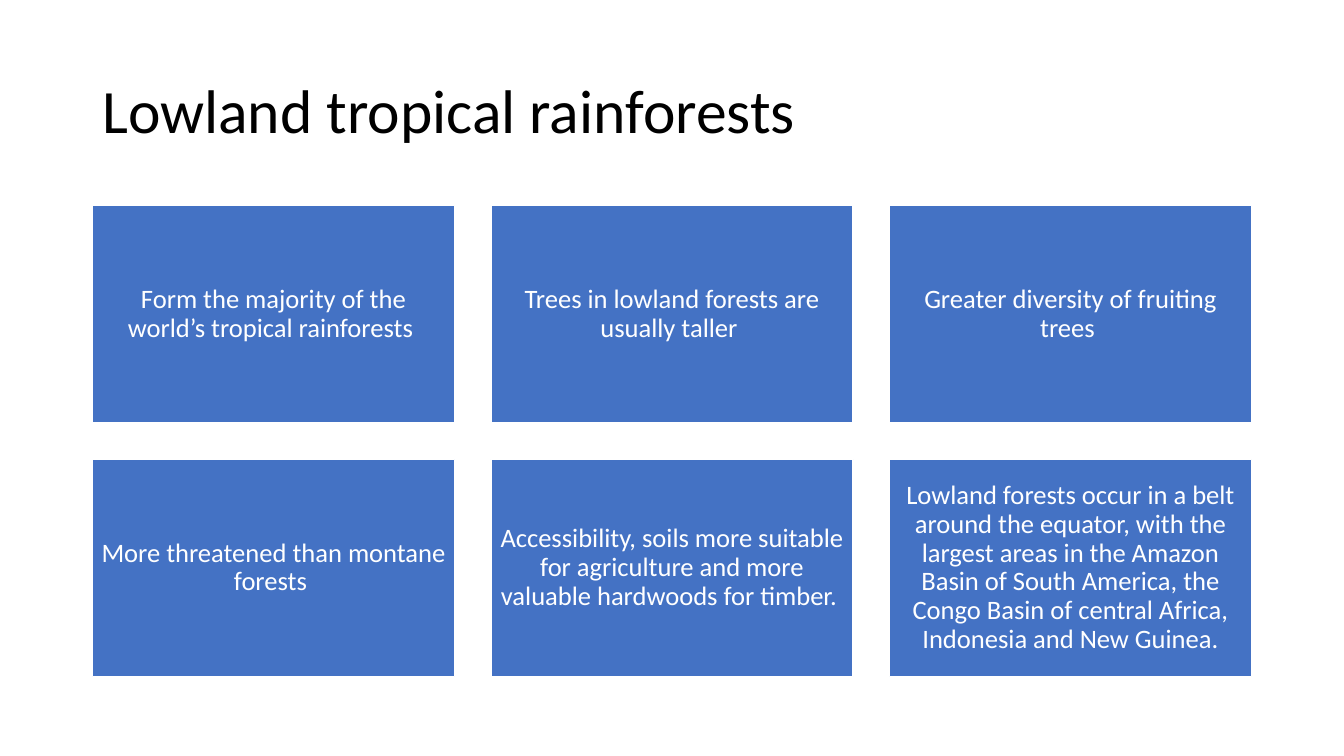
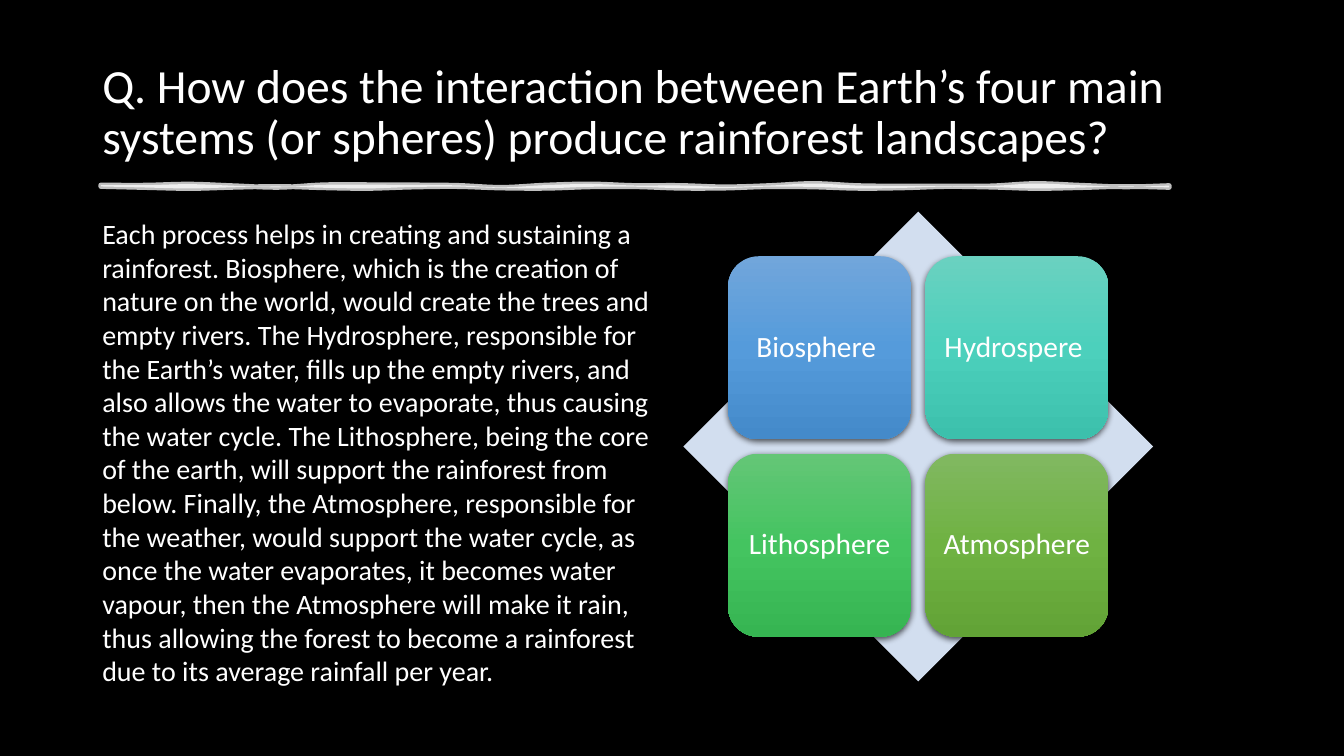
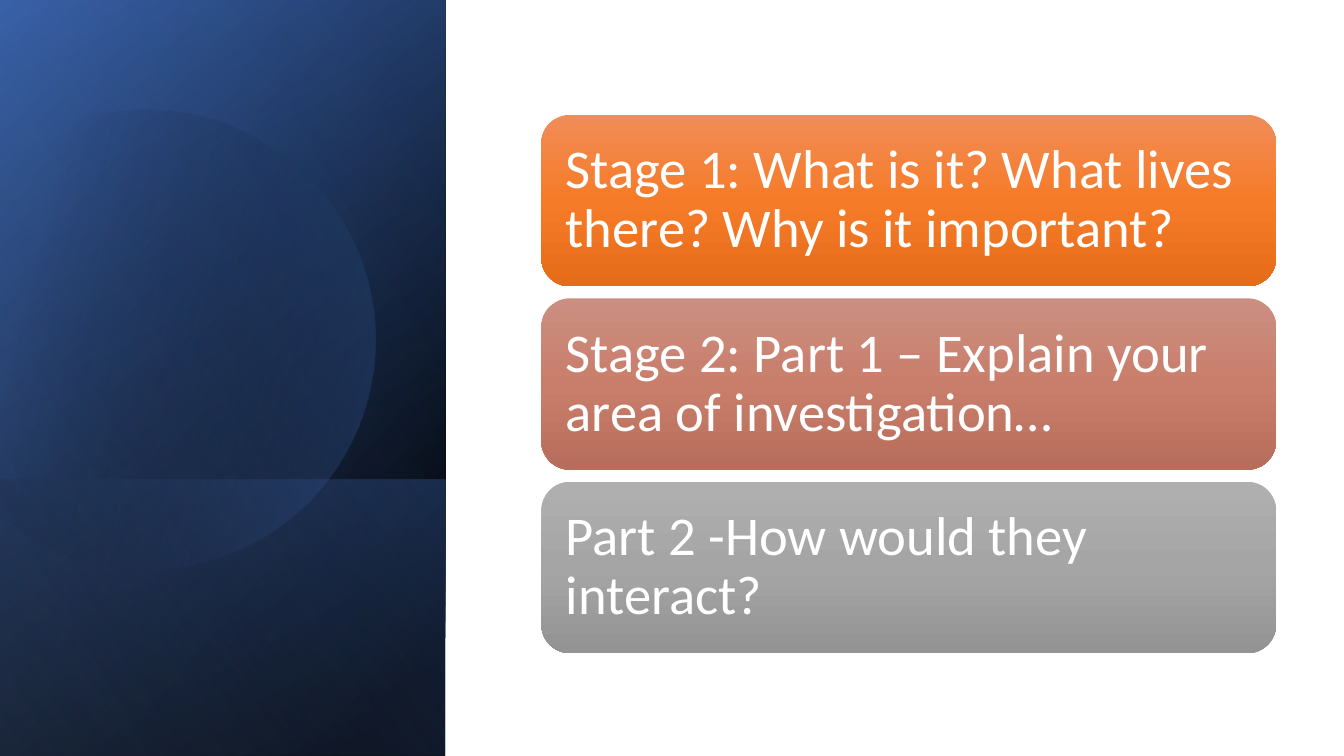
import math
from pptx import Presentation, oxml
from pptx import util as u
from pptx.dml.color import RGBColor
from pptx.enum import shapes, text
from pptx.oxml.ns import qn, nsdecls

FONT = "Calibri"
W, H = 40 / 3, 7.5
LEFT, CONTENT = 11 / 12, 11.5
COLORS = {
    "white": "FFFFFF", "black": "000000", "blue": "4472C4",
    "navy": "2F5597", "haze": "8FAADC", "diamond": "D2DEEF",
}
GRADIENTS = {
    "sky": ("71A6DB", "559BDB", "448ACA"),
    "teal": ("6AD1C0", "4CD0BC", "3CC0AC"),
    "green": ("64C677", "44C460", "36B552"),
    "olive": ("81B861", "6FB242", "62A336"),
    "orange": ("F18C57", "F67B28", "E56C19"),
    "clay": ("CB8F81", "C97E6B", "B76D5B"),
    "gray": ("AFAFAF", "A5A5A5", "939393"),
}
CARDS = [
    "Form the majority of the world’s tropical rainforests ",
    "Trees in lowland forests are usually taller ",
    "Greater diversity of fruiting trees ",
    "More threatened than montane forests ",
    "Accessibility, soils more suitable for agriculture and more valuable "
    "hardwoods for timber. ",
    "Lowland forests occur in a belt around the equator, with the largest areas "
    "in the Amazon Basin of South America, the Congo Basin of central Africa, "
    "Indonesia and New Guinea.",
]
SPHERES = [("Biosphere ", "sky"), ("Hydrospere ", "teal"),
           ("Lithosphere ", "green"), ("Atmosphere", "olive")]
SPHERES_BODY = (
    "Each process helps in creating and sustaining a rainforest. Biosphere, which "
    "is the creation of nature on the world, would create the trees and empty "
    "rivers. The Hydrosphere, responsible for the Earth’s water, fills up the empty "
    "rivers, and also allows the water to evaporate, thus causing the water cycle. "
    "The Lithosphere, being the core of the earth, will support the rainforest from "
    "below. Finally, the Atmosphere, responsible for the weather, would support the "
    "water cycle, as once the water evaporates, it becomes water vapour, then the "
    "Atmosphere will make it rain, thus allowing the forest to become a rainforest "
    "due to its average rainfall per year."
)
STAGES = [
    ("Stage 1: What is it? What lives there? Why is it important?", "orange"),
    ("Stage 2: Part 1 – Explain your area of investigation…", "clay"),
    ("Part 2 -How would they interact?", "gray"),
]


def rgb(name):
    return RGBColor.from_string(COLORS[name])


def inches(values):
    return [u.Inches(v) for v in values]


def grid(left, top, width, height, gap, cols, count):
    for i in range(count):
        row, col = divmod(i, cols)
        yield left + col * (width + gap), top + row * (height + gap), width, height


def add_slide(prs, background):
    s = prs.slides.add_slide(prs.slide_layouts[6])
    s.background.fill.solid()
    s.background.fill.fore_color.rgb = rgb(background)
    return s


def write(sp, content, size, color="white", align=text.PP_ALIGN.LEFT,
          anchor=text.MSO_ANCHOR.MIDDLE, spacing=0.9, inset=None):
    tf = sp.text_frame
    tf.word_wrap = True
    tf.vertical_anchor = anchor
    if inset is not None:
        tf.margin_left = tf.margin_right = u.Inches(inset)
        tf.margin_top = tf.margin_bottom = u.Inches(inset)
    p = tf.paragraphs[0]
    p.alignment = align
    p.line_spacing = spacing
    r = p.add_run()
    r.text = content
    r.font.name = FONT
    r.font.size = u.Pt(size)
    r.font.color.rgb = rgb(color)


def add_text(s, box, content, size, **style):
    write(s.shapes.add_textbox(*inches(box)), content, size, **style)


def add_title(s, content, size, color):
    add_text(s, (LEFT, 0.4, CONTENT, 1.45), content, size, color=color)


def add_block(s, kind, box, fill=None):
    sp = s.shapes.add_shape(kind, *inches(box))
    sp.shadow.inherit = False
    sp.line.fill.background()
    if fill:
        sp.fill.solid()
        sp.fill.fore_color.rgb = rgb(fill)
    return sp


def set_gradient(sp, stops, angle):
    sp.fill.gradient()
    old = sp._element.spPr.find(qn("a:gradFill"))
    marks = "".join(
        f'<a:gs pos="{pos * 1000}"><a:srgbClr val="{color}">'
        f'<a:alpha val="{alpha * 1000}"/></a:srgbClr></a:gs>'
        for pos, color, alpha in stops)
    new = oxml.parse_xml(
        f'<a:gradFill {nsdecls("a")} rotWithShape="1"><a:gsLst>{marks}</a:gsLst>'
        f'<a:lin ang="{angle * 60000}" scaled="0"/></a:gradFill>')
    old.getparent().replace(old, new)


def add_tile(s, box, gradient):
    sp = add_block(s, shapes.MSO_SHAPE.ROUNDED_RECTANGLE, box)
    stops = [(pos, c, 100) for pos, c in zip((0, 50, 100), GRADIENTS[gradient])]
    set_gradient(sp, stops, 90)
    return sp


def add_shadow(sp):
    sp._element.spPr.find(qn("a:effectLst")).append(oxml.parse_xml(
        f'<a:outerShdw {nsdecls("a")} blurRad="{u.Pt(4.5)}" dist="{u.Pt(1.5)}" '
        'dir="5400000" algn="ctr" rotWithShape="0"><a:srgbClr val="000000">'
        '<a:alpha val="63000"/></a:srgbClr></a:outerShdw>'))


def curve_controls(edge):
    last = len(edge) - 1
    slopes = [[(b - a) / 6 for a, b in zip(edge[max(i - 1, 0)], edge[min(i + 1, last)])]
              for i in range(last + 1)]
    for i in range(last):
        (x0, y0), (x1, y1) = edge[i], edge[i + 1]
        (dx0, dy0), (dx1, dy1) = slopes[i], slopes[i + 1]
        yield (x0 + dx0, y0 + dy0), (x1 - dx1, y1 - dy1), (x1, y1)


def add_outline(s, edges):
    edges = [[tuple(inches(pt)) for pt in edge] for edge in edges]
    pts = [pt for edge in edges for pt in edge]
    builder = s.shapes.build_freeform(*pts[0])
    builder.add_line_segments(pts[1:], close=True)
    sp = builder.convert_to_shape()
    sp.shadow.inherit = False
    sp.line.fill.background()
    segments = list(sp._element.spPr.iter(qn("a:lnTo")))
    start = 0
    for edge in edges:
        for old, controls in zip(segments[start:], curve_controls(edge)):
            marks = "".join(f'<a:pt x="{round(x - sp.left)}" y="{round(y - sp.top)}"/>'
                            for x, y in controls)
            old.getparent().replace(old, oxml.parse_xml(
                f'<a:cubicBezTo {nsdecls("a")}>{marks}</a:cubicBezTo>'))
        start += len(edge)
    return sp


def add_brush_line(s, left, right, y):
    steps = 24
    xs = [left + (right - left) * i / steps for i in range(steps + 1)]
    upper = [(x, y + 0.012 * math.sin(2.9 * x) + 0.008 * math.sin(5.3 * x)) for x in xs]
    lower = [(x, y + 0.02 + 0.01 * math.sin(3.7 * x + 1)) for x in reversed(xs)]
    sp = add_outline(s, [upper, lower])
    sp.fill.solid()
    sp.fill.fore_color.rgb = rgb("white")
    sp.line.width = u.Pt(3.5)
    sp.line.color.rgb = rgb("white")
    for color in sp._element.spPr.iter(qn("a:srgbClr")):
        color.append(oxml.parse_xml(f'<a:alpha {nsdecls("a")} val="75000"/>'))


def add_panel(s, top, width, height, stops, angle):
    box = ((width - height) / 2, top + (height - width) / 2, height, width)
    sp = add_block(s, shapes.MSO_SHAPE.RECTANGLE, box)
    sp.rotation = 90
    sp._element.spPr.find(qn("a:xfrm")).set("flipH", "1")
    set_gradient(sp, [(pos, COLORS[c], alpha) for pos, c, alpha in stops], angle)


def add_cut_disc(s, cx, cy, radius, start, end, rotation, stops, angle):
    steps = 12
    turns = [math.radians(start + (end - start) * i / steps) for i in range(steps + 1)]
    sp = add_outline(s, [[(cx + radius * math.cos(t), cy + radius * math.sin(t))
                          for t in turns]])
    sp.rotation = rotation
    set_gradient(sp, [(pos, COLORS[c], alpha) for pos, c, alpha in stops], angle)


def lowland_slide(prs):
    s = add_slide(prs, "white")
    add_title(s, "Lowland tropical rainforests", 44, "black")
    width = CONTENT / 3.2
    cells = grid(LEFT, 2.04, width, width * 0.6, width * 0.1, 3, len(CARDS))
    for box, content in zip(cells, CARDS):
        sp = add_block(s, shapes.MSO_SHAPE.RECTANGLE, box, "blue")
        sp.line.color.rgb = rgb("white")
        sp.line.width = u.Pt(1)
        write(sp, content, 19, align=text.PP_ALIGN.CENTER, inset=0.08)


def spheres_slide(prs):
    s = add_slide(prs, "black")
    add_title(s, "Q. How does the interaction between Earth’s four main systems "
              "(or spheres) produce rainforest landscapes?", 34, "white")
    add_brush_line(s, 1, 11.6, 1.84)
    left, top, side = 6.78, 2.1, 4.66
    add_block(s, shapes.MSO_SHAPE.DIAMOND, (left, top, side, side), "diamond")
    tile, edge = side * 0.39, side * 0.095
    tiles = grid(left + edge, top + edge, tile, tile, side * 0.03, 2, len(SPHERES))
    for box, (name, gradient) in zip(tiles, SPHERES):
        sp = add_tile(s, box, gradient)
        add_shadow(sp)
        write(sp, name, 21, align=text.PP_ALIGN.CENTER, inset=0.09)
    add_text(s, (LEFT, 2.1, 5.87, 4.81), SPHERES_BODY, 20,
             anchor=text.MSO_ANCHOR.TOP, spacing=1.0)


def stages_slide(prs):
    s = add_slide(prs, "white")
    side = 4.42
    add_panel(s, 0, side, H, [(8, "black", 100), (100, "navy", 100)], 50)
    add_panel(s, 0, side, H, [(0, "black", 0), (99, "blue", 46)], 30)
    add_panel(s, 4.76, side, H - 4.76, [(2, "blue", 29), (100, "black", 30)], 130)
    add_cut_disc(s, 1.44, 3.33, 2.28, -118, 150, 344,
                 [(29, "black", 0), (100, "blue", 43)], 30)
    add_panel(s, 0, side, H, [(0, "black", 0), (99, "haze", 11)], 120)
    rows = grid(5.37, 1.14, 7.29, 1.7, 0.12, 1, len(STAGES))
    for box, (content, gradient) in zip(rows, STAGES):
        write(add_tile(s, box, gradient), content, 39, inset=0.16)


def main():
    prs = Presentation()
    prs.slide_width, prs.slide_height = inches((W, H))
    lowland_slide(prs)
    spheres_slide(prs)
    stages_slide(prs)
    prs.save("out.pptx")


if __name__ == "__main__":
    main()
